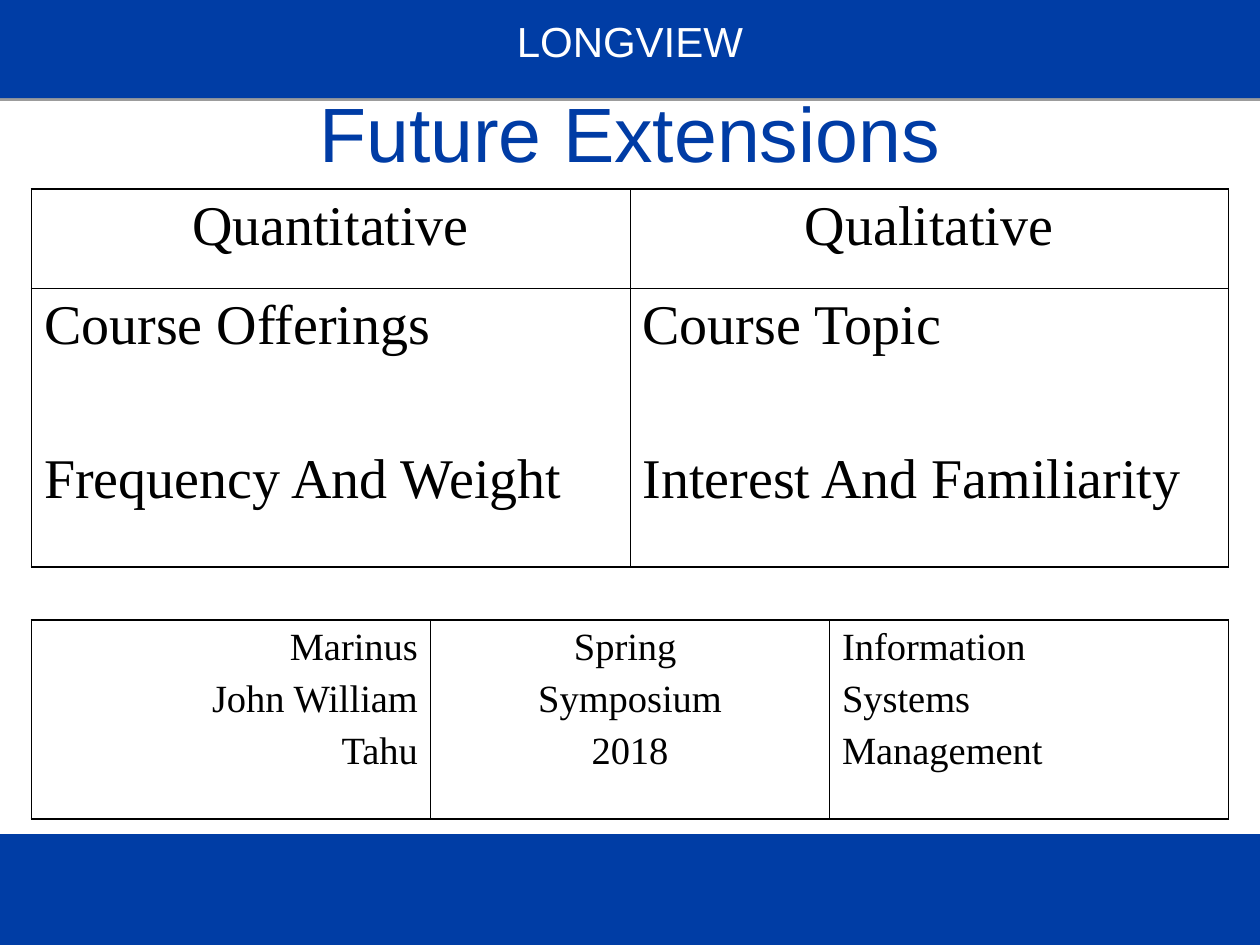
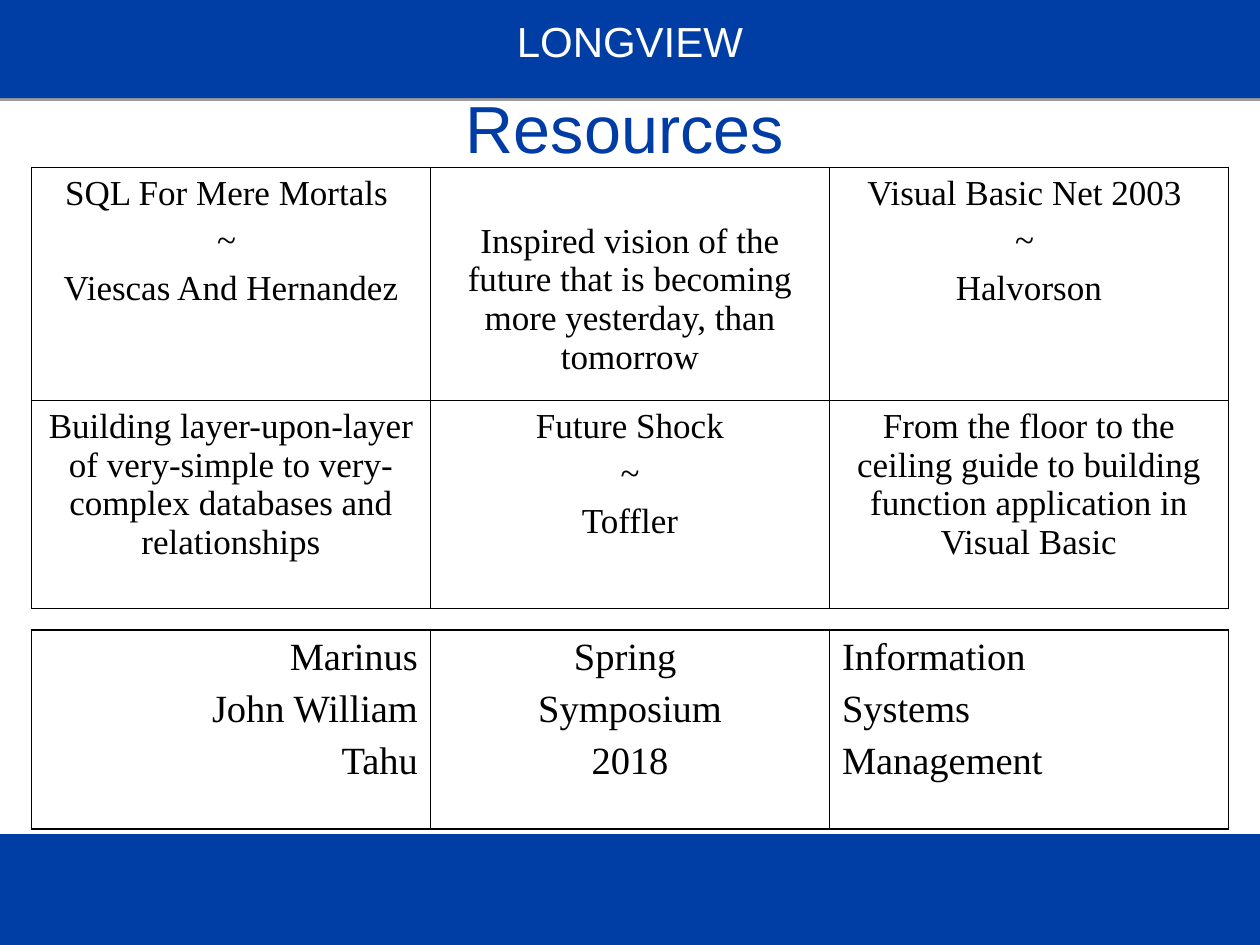
from dataclasses import dataclass
from lxml import etree
from pptx import Presentation
from pptx.dml.color import RGBColor
from pptx.enum.shapes import MSO_SHAPE
from pptx.enum.text import MSO_ANCHOR, MSO_AUTO_SIZE, PP_ALIGN
from pptx.oxml import parse_xml
from pptx.oxml.ns import nsdecls, qn
from pptx.util import Inches, Pt

LEFT, CENTER, RIGHT = PP_ALIGN.LEFT, PP_ALIGN.CENTER, PP_ALIGN.RIGHT
MIDDLE = MSO_ANCHOR.MIDDLE
NO_FIT = MSO_AUTO_SIZE.NONE
FIT_SHAPE = MSO_AUTO_SIZE.SHAPE_TO_FIT_TEXT
RECTANGLE = MSO_SHAPE.RECTANGLE


@dataclass(frozen=True)
class Theme:
    band: str = "003DA5"
    title: str = "003CA5"
    ink: str = "000000"
    paper: str = "FFFFFF"
    sans: str = "Arial"
    serif: str = "Times New Roman"
    brand_size: int = 24
    credit_size: int = 22
    outer_line: float = 1.08
    inner_line: float = 0.45
    tight: float = 0.93


THEME = Theme()
TITLE_ONLY = 5
TABLE_LEFT, TABLE_WIDTH = 0.25, 9.5
BRAND = "LONGVIEW"
BANDS = [(0, 0.78), (6.62, 0.88)]

CREDITS = [[
    dict(lines=["Marinus", "John William", "Tahu"], align=RIGHT),
    dict(lines=["Spring ", "Symposium", "2018"], align=CENTER),
    dict(lines=["Information", "Systems", "Management"]),
]]

EXTENSIONS = [
    [dict(lines=["Quantitative"], align=CENTER),
     dict(lines=["Qualitative"], align=CENTER)],
    [dict(lines=["Course Offerings", "Frequency And Weight"], gap=52.5),
     dict(lines=["Course Topic", "Interest And Familiarity"], gap=52.5)],
]

RESOURCES = [
    [dict(lines=["SQL For Mere Mortals ", "~ ", "Viescas And Hernandez"], align=CENTER),
     dict(lines=["Inspired vision of the future that is becoming more yesterday, "
                 "than tomorrow"], align=CENTER, top=0.43),
     dict(lines=["Visual Basic Net 2003 ", "~ ", "Halvorson"], align=CENTER)],
    [dict(lines=["Building layer-upon-layer of very-simple to very-complex databases "
                 "and relationships"], align=CENTER),
     dict(lines=["Future Shock", "~", "Toffler"], align=CENTER),
     dict(lines=["From the floor to the ceiling guide to building function application "
                 "in Visual Basic"], align=CENTER)],
]

PAGES = [
    dict(title="Future Extensions", title_box=(0.69, 0.75, 8.62, 0.67), title_size=44,
         cells=EXTENSIONS, top=1.5, row_heights=[0.79, 2.21], size=32, credits_top=4.92),
    dict(title="Resources", title_box=(0.25, 0.67, 9.42, 0.75), title_size=38,
         cells=RESOURCES, top=1.33, row_heights=[1.85, 1.65], size=20, credits_top=5),
]


def write_text(frame, lines, size, font=THEME.serif, color=THEME.ink, align=LEFT,
               gap=0, spacing=1.0, hanging=0):
    frame.word_wrap = True
    for index, line in enumerate(lines):
        para = frame.paragraphs[0] if index == 0 else frame.add_paragraph()
        para.alignment = align
        para.line_spacing = spacing
        para.space_before = Pt(gap if index else 0)
        if hanging:
            properties = para._p.get_or_add_pPr()
            properties.set("marL", str(Inches(hanging)))
            properties.set("indent", str(-Inches(hanging)))
        span = para.add_run()
        span.text = line
        span.font.name = font
        span.font.size = Pt(size)
        span.font.color.rgb = RGBColor.from_string(color)


def add_bands(deck, page):
    tree = deck.slide_master.element.cSld.spTree
    for index, (top, height) in enumerate(BANDS):
        band = page.shapes.add_shape(RECTANGLE, 0, Inches(top), deck.slide_width, Inches(height))
        band.name = f"Band {index + 1}"
        band.fill.solid()
        band.fill.fore_color.rgb = RGBColor.from_string(THEME.band)
        band.line.fill.background()
        band.element.spPr.append(parse_xml(
            f'<a:effectLst {nsdecls("a")}><a:outerShdw blurRad="0" dist="{Pt(1.6)}" '
            'dir="5400000" rotWithShape="0"><a:srgbClr val="000000">'
            '<a:alpha val="38000"/></a:srgbClr></a:outerShdw></a:effectLst>'))
        band.element.nvSpPr.cNvPr.set("id", str(100 + index))
        tree.insert(2 + index, band.element)


def set_borders(cell, outer_sides):
    properties = cell._tc.get_or_add_tcPr()
    for side in "LRTB":
        width = THEME.outer_line if outer_sides[side] else THEME.inner_line
        line = etree.SubElement(properties, qn(f"a:ln{side}"), w=str(Pt(width)))
        fill = etree.SubElement(line, qn("a:solidFill"))
        etree.SubElement(fill, qn("a:srgbClr"), val=THEME.ink)


def add_grid(page, cells, top, row_heights, size):
    rows, columns = len(cells), len(cells[0])
    grid = page.shapes.add_table(rows, columns, Inches(TABLE_LEFT), Inches(top),
                                 Inches(TABLE_WIDTH), Inches(sum(row_heights))).table
    grid.first_row = grid.horz_banding = False
    for column in grid.columns:
        column.width = Inches(TABLE_WIDTH / columns)
    for r, (height, row) in enumerate(zip(row_heights, cells)):
        grid.rows[r].height = Inches(height)
        for c, content in enumerate(row):
            cell = grid.cell(r, c)
            set_borders(cell, {"L": c == 0, "R": c == columns - 1,
                               "T": r == 0, "B": r == rows - 1})
            cell.fill.background()
            cell.margin_top = Inches(content.get("top", 0.05))
            write_text(cell.text_frame, content["lines"], size,
                       align=content.get("align", LEFT),
                       gap=content.get("gap", size / 4))


def add_brand(page):
    box = page.shapes.add_textbox(0, Inches(0.11), Inches(10), Inches(0.47))
    write_text(box.text_frame, [BRAND], THEME.brand_size, font=THEME.sans,
               color=THEME.paper, align=CENTER, spacing=THEME.tight)
    box.text_frame.auto_size = FIT_SHAPE


def set_title(page, text, box, size):
    title = page.shapes.title
    title.left, title.top, title.width, title.height = map(Inches, box)
    frame = title.text_frame
    frame.auto_size = NO_FIT
    frame.vertical_anchor = MIDDLE
    write_text(frame, [text], size, font=THEME.sans, color=THEME.title,
               align=CENTER, spacing=THEME.tight, hanging=0.5)


def main():
    deck = Presentation()
    deck.slide_width, deck.slide_height = Inches(10), Inches(7.5)
    for number, content in enumerate(PAGES):
        page = deck.slides.add_slide(deck.slide_layouts[TITLE_ONLY])
        if number == 0:
            add_bands(deck, page)
        add_brand(page)
        set_title(page, content["title"], content["title_box"], content["title_size"])
        add_grid(page, content["cells"], content["top"], content["row_heights"], content["size"])
        add_grid(page, CREDITS, content["credits_top"], [1.58], THEME.credit_size)
    deck.save("out.pptx")


if __name__ == "__main__":
    main()
